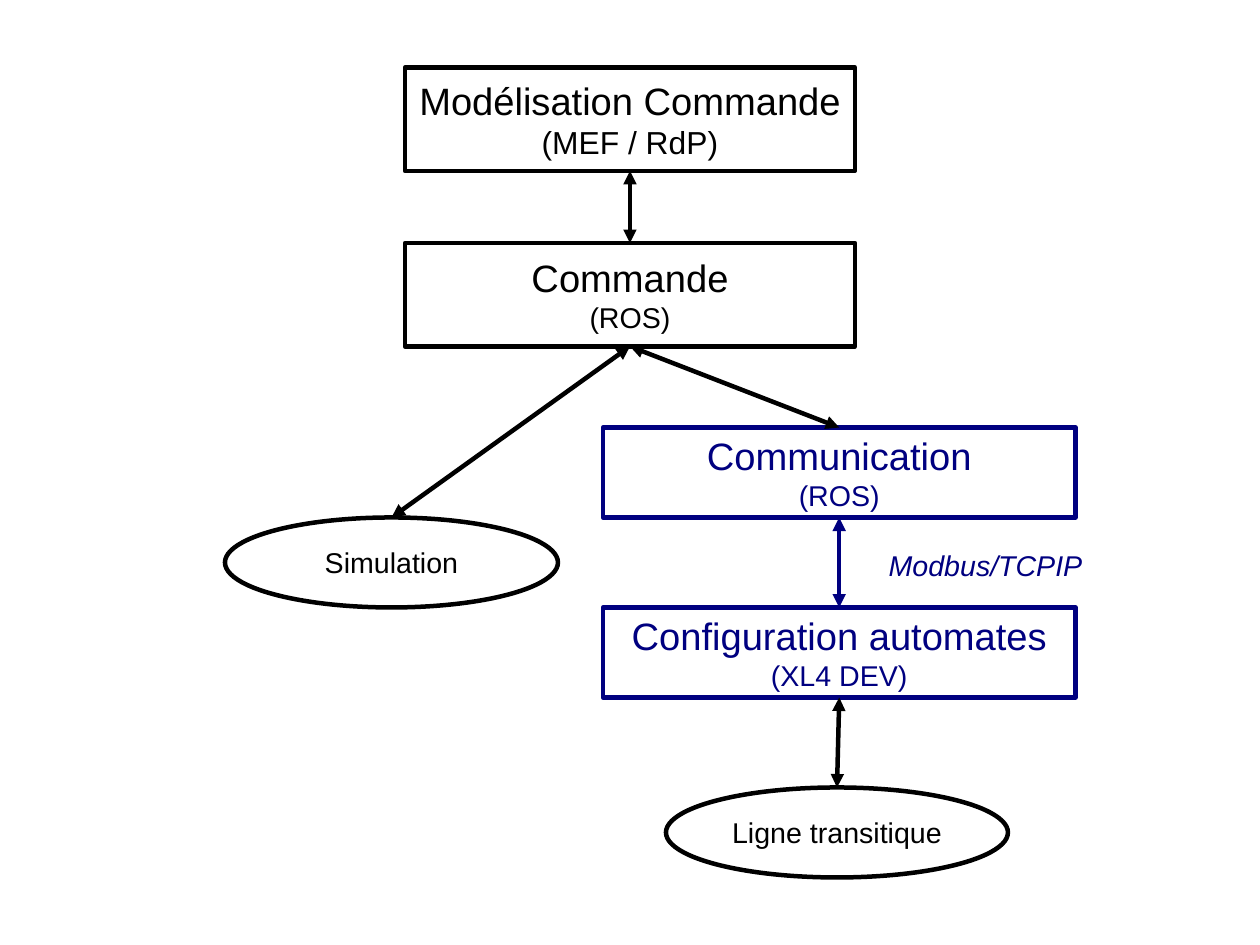
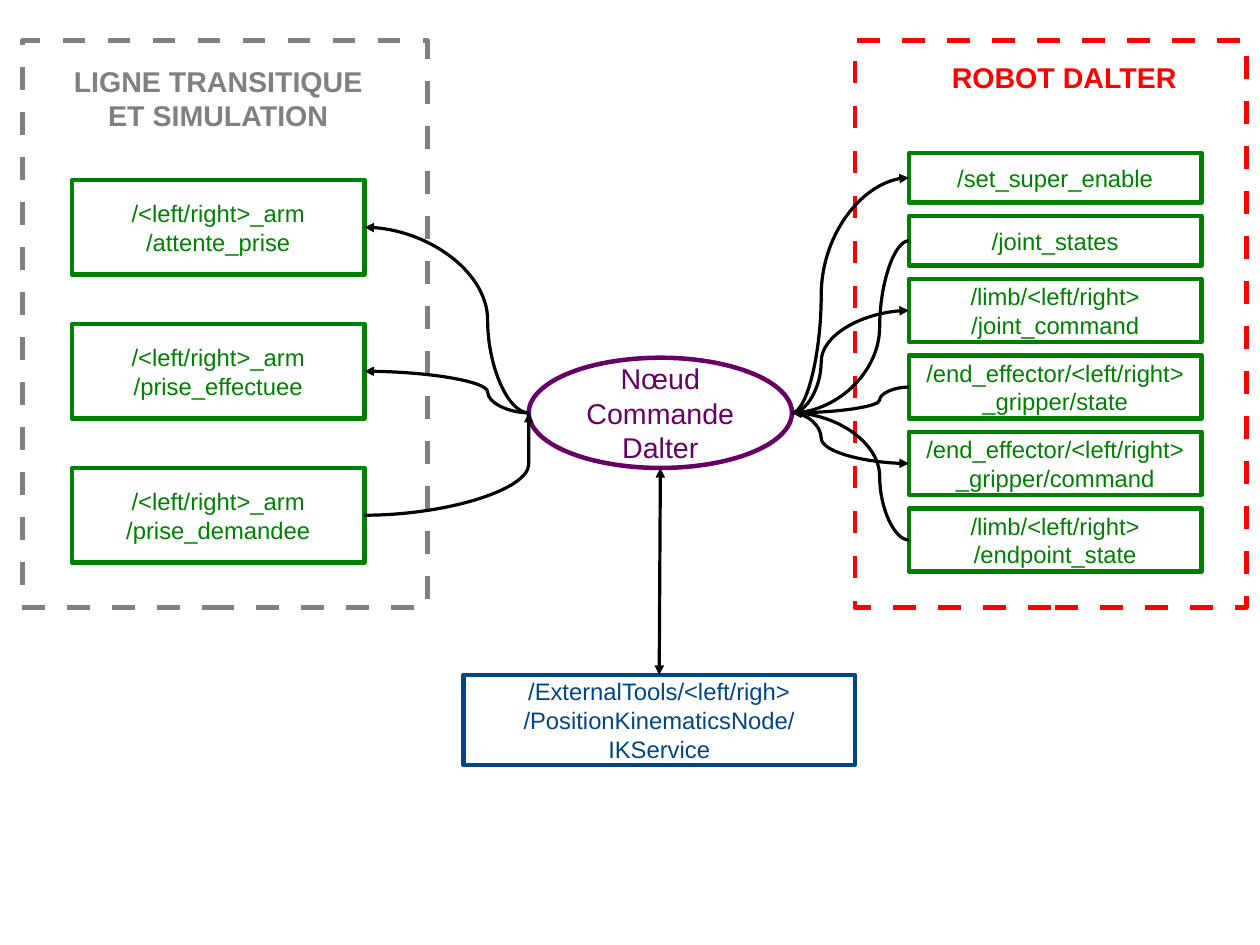
import lxml.etree
import pptx
import pptx.dml.color
import pptx.enum.shapes
import pptx.enum.text
import pptx.oxml.ns
import pptx.util

Cm = pptx.util.Cm
Pt = pptx.util.Pt
RGB = pptx.dml.color.RGBColor
SHAPE = pptx.enum.shapes.MSO_SHAPE
LINK = pptx.enum.shapes.MSO_CONNECTOR
ALIGN = pptx.enum.text.PP_ALIGN
ANCHOR = pptx.enum.text.MSO_ANCHOR

BLACK = RGB(0x00, 0x00, 0x00)
NAVY = RGB(0x00, 0x00, 0x80)
PURPLE = RGB(0x66, 0x00, 0x66)
GREEN = RGB(0x00, 0x80, 0x00)
GREY = RGB(0x80, 0x80, 0x80)
RED = RGB(0xFF, 0x00, 0x00)
BLUE = RGB(0x00, 0x45, 0x86)

TOP, BOTTOM = 0, 2


def add_xml(parent, tag, **attrs):
    return lxml.etree.SubElement(parent, pptx.oxml.ns.qn(tag), attrs)


def side(shape, across, down):
    """Point of a shape, as fractions of its width and height."""
    return (shape.left + int(shape.width * across),
            shape.top + int(shape.height * down))


class Deck:
    font = "Arial"
    width = Pt(2.83)

    def __init__(self):
        self.show = pptx.Presentation()
        self.show.slide_width = Cm(28)
        self.show.slide_height = Cm(21)
        self.slide = None

    def start(self):
        self.slide = self.show.slides.add_slide(self.show.slide_layouts[6])

    def fill_text(self, shape, lines, color, align, bold=False, italic=False):
        """Fill a shape with (text, size) lines, one paragraph each."""
        frame = shape.text_frame
        frame.word_wrap = True
        for i, (text, size) in enumerate(lines):
            para = frame.paragraphs[0] if i == 0 else frame.add_paragraph()
            para.alignment = align
            run = para.add_run()
            run.text = text
            run.font.name = self.font
            run.font.size = Pt(size)
            run.font.bold = bold
            run.font.italic = italic
            run.font.color.rgb = color

    def box(self, place, color, lines=(), kind=SHAPE.RECTANGLE, dashed=False):
        shape = self.slide.shapes.add_shape(kind, *map(Cm, place))
        shape.shadow.inherit = False
        shape.fill.background()
        shape.line.color.rgb = color
        shape.line.width = self.width
        outline = shape._element.spPr.find(pptx.oxml.ns.qn("a:ln"))
        if dashed:
            dash = add_xml(outline, "a:custDash")
            add_xml(dash, "a:ds", d="500000", sp="500000")
        add_xml(outline, "a:round")
        frame = shape.text_frame
        frame.vertical_anchor = ANCHOR.MIDDLE
        frame.margin_left = frame.margin_right = Cm(0.3)
        frame.margin_top = frame.margin_bottom = Cm(0.18)
        self.fill_text(shape, lines, color, ALIGN.CENTER)
        return shape

    def oval(self, place, color, lines):
        return self.box(place, color, lines, SHAPE.OVAL)

    def label(self, place, color, lines, align=ALIGN.CENTER, **style):
        shape = self.slide.shapes.add_textbox(*map(Cm, place))
        self.fill_text(shape, lines, color, align, **style)

    def arrow(self, start, end, color=BLACK, width=0, both=False, bend=None):
        """Arrow between two points; bend is where a curve turns, 0 to 1."""
        kind = LINK.STRAIGHT if bend is None else LINK.CURVE
        link = self.slide.shapes.add_connector(kind, *start, *end)
        link.line.color.rgb = color
        link.line.width = width
        props = link._element.spPr
        if bend is not None:
            guides = props.find(".//" + pptx.oxml.ns.qn("a:avLst"))
            add_xml(guides, "a:gd", name="adj1", fmla=f"val {int(bend * 100000)}")
        outline = props.find(pptx.oxml.ns.qn("a:ln"))
        if both:
            add_xml(outline, "a:headEnd", type="triangle")
        add_xml(outline, "a:tailEnd", type="triangle")
        add_xml(props, "a:effectLst")
        return link

    def join(self, upper, lower, color=BLACK):
        """Two-way arrow glued from the bottom of one shape to the top of another."""
        link = self.arrow(side(upper, 0.5, 1), side(lower, 0.5, 0), color,
                          self.width, both=True)
        link.begin_connect(upper, BOTTOM)
        link.end_connect(lower, TOP)


def draw_layers(deck):
    deck.start()
    model = deck.box((9, 1.5, 10, 2.3), BLACK,
                     [("Modélisation Commande", 24), ("(MEF / RdP)", 20)])
    command = deck.box((9, 5.4, 10, 2.3), BLACK,
                       [("Commande", 24), ("(ROS)", 18)])
    comms = deck.box((13.4, 9.5, 10.5, 2), NAVY,
                     [("Communication", 24), ("(ROS)", 18)])
    config = deck.box((13.4, 13.5, 10.5, 2), NAVY,
                      [("Configuration automates", 24), ("(XL4 DEV)", 18)])
    simul = deck.oval((5, 11.5, 7.4, 2), BLACK, [("Simulation", 18)])
    line = deck.oval((14.8, 17.5, 7.6, 2), BLACK, [("Ligne transitique", 18)])
    deck.label((19.5, 12.05, 5.5, 0.96), NAVY, [("Modbus/TCPIP", 18)],
               ALIGN.LEFT, italic=True)
    deck.join(model, command)
    deck.join(command, simul)
    deck.join(command, comms)
    deck.join(comms, config, NAVY)
    deck.join(config, line)


def draw_topics(deck):
    deck.start()
    node = deck.oval((11.75, 7.95, 5.85, 2.45), PURPLE,
                     [("Nœud", 18), ("Commande", 18), ("Dalter", 18)])
    west, east = side(node, 0, 0.5), side(node, 1, 0.5)

    deck.box((0.5, 0.9, 9, 12.6), GREY, dashed=True)
    deck.label((0.6, 1.3, 8.5, 1.68), GREY,
               [("LIGNE TRANSITIQUE", 18), ("ET SIMULATION", 18)], bold=True)
    deck.box((19, 0.9, 8.7, 12.6), RED, dashed=True)
    deck.label((19.4, 1.2, 8.5, 1.7), RED, [("ROBOT DALTER", 18)], bold=True)

    tasks = ["/attente_prise", "/prise_effectuee", "/prise_demandee"]
    for i, task in enumerate(tasks):
        box = deck.box((1.6, 4 + 3.2 * i, 6.5, 2.1), GREEN,
                       [("/<left/right>_arm", 15), (task, 15)])
        port = side(box, 1, 0.5)
        if task == "/prise_demandee":
            deck.arrow(port, west, bend=1)
        else:
            deck.arrow(west, port, bend=0.25)

    topics = [
        (["/set_super_enable"], True),
        (["/joint_states"], False),
        (["/limb/<left/right>", "/joint_command"], True),
        (["/end_effector/<left/right>", "_gripper/state"], False),
        (["/end_effector/<left/right>", "_gripper/command"], True),
        (["/limb/<left/right>", "/endpoint_state"], False),
    ]
    top = 3.4
    for names, sent in topics:
        height = 1.1 if len(names) == 1 else 1.4
        box = deck.box((20.2, top, 6.5, height), GREEN,
                       [(name, 15) for name in names])
        port = side(box, 0, 0.5)
        start, end = (east, port) if sent else (port, east)
        deck.arrow(start, end, bend=0.25)
        top += height + 0.3

    service = deck.box((10.3, 15, 8.7, 2), BLUE,
                       [("/ExternalTools/<left/righ>", 15),
                        ("/PositionKinematicsNode/IKService", 15)])
    deck.arrow(side(service, 0.5, 0), side(node, 0.5, 1), both=True)


def main():
    deck = Deck()
    draw_layers(deck)
    draw_topics(deck)
    deck.show.save("out.pptx")


if __name__ == "__main__":
    main()
